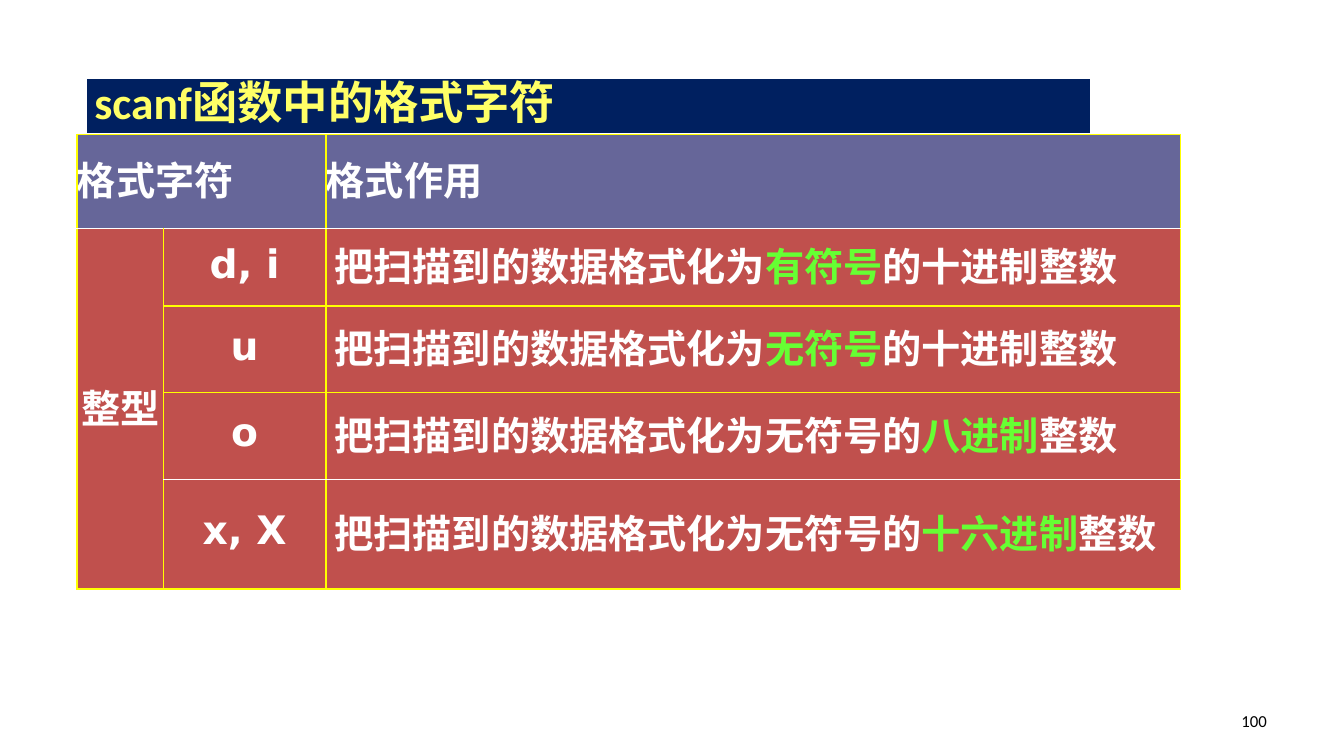
from lxml import etree
from pptx import Presentation
from pptx.dml.color import RGBColor
from pptx.enum.shapes import MSO_SHAPE
from pptx.enum.text import MSO_ANCHOR, PP_ALIGN
from pptx.oxml.ns import qn
from pptx.util import Cm, Pt

RECTANGLE = MSO_SHAPE.RECTANGLE
MIDDLE = MSO_ANCHOR.MIDDLE
LEFT, CENTER, RIGHT = PP_ALIGN.LEFT, PP_ALIGN.CENTER, PP_ALIGN.RIGHT

WHITE = RGBColor(0xFF, 0xFF, 0xFF)
BLACK = RGBColor(0x00, 0x00, 0x00)
NAVY = RGBColor(0x00, 0x20, 0x60)
TITLE_YELLOW = RGBColor(0xFF, 0xFF, 0x66)
GRID_YELLOW = RGBColor(0xFF, 0xFF, 0x00)
HEADER_VIOLET = RGBColor(0x66, 0x66, 0x99)
BODY_RED = RGBColor(0xC0, 0x50, 0x4D)
GREEN = RGBColor(0x66, 0xFF, 0x33)

LATIN, SYMBOL, CHINESE = "Calibri", "DejaVu Sans", "Noto Sans CJK SC"


def format_run(run, font_name, size, color, bold=True):
    run.font.name = font_name
    run.font.size = Pt(size)
    run.font.bold = bold
    run.font.color.rgb = color
    east_asian = etree.SubElement(run.font._element, qn("a:ea"))
    east_asian.set("typeface", CHINESE)


def add_border(cell, side, color, width):
    line = etree.SubElement(cell._tc.get_or_add_tcPr(), qn(f"a:{side}"), w=str(Pt(width)))
    fill = etree.SubElement(line, qn("a:solidFill"))
    etree.SubElement(fill, qn("a:srgbClr"), val=str(color))


prs = Presentation()
prs.slide_width, prs.slide_height = Cm(33.87), Cm(19.05)
slide = prs.slides.add_slide(prs.slide_layouts[6])

# Slide number
number_box = slide.shapes.add_textbox(Cm(24.28), Cm(17.65), Cm(7.9), Cm(1.02))
number_frame = number_box.text_frame
number_frame.word_wrap = True
number_frame.vertical_anchor = MIDDLE
number_frame.text = "100"
number_frame.paragraphs[0].alignment = RIGHT
format_run(number_frame.paragraphs[0].runs[0], LATIN, 12, BLACK, bold=False)

# Title bar
title_bar = slide.shapes.add_shape(RECTANGLE, Cm(2.13), Cm(1.93), Cm(25.4), Cm(1.47))
title_bar.shadow.inherit = False
title_bar.fill.solid()
title_bar.fill.fore_color.rgb = NAVY
title_bar.line.color.rgb = WHITE
title_bar.line.width = Pt(3)
title_frame = title_bar.text_frame
title_frame.word_wrap = True
title_frame.vertical_anchor = MIDDLE
title_frame.margin_top, title_frame.margin_bottom = 0, Cm(0.2)
title_frame.text = "scanf函数中的格式字符"
title_frame.paragraphs[0].alignment = LEFT
format_run(title_frame.paragraphs[0].runs[0], LATIN, 32.4, TITLE_YELLOW)

# Format characters: symbol, then the effect with its key words in the middle
FORMATS = [
    ("d, i", ("把扫描到的数据格式化为", "有符号", "的十进制整数")),
    ("u", ("把扫描到的数据格式化为", "无符号", "的十进制整数")),
    ("o", ("把扫描到的数据格式化为无符号的", "八进制", "整数")),
    ("x, X", ("把扫描到的数据格式化为无符号的", "十六进制", "整数")),
]
COLUMN_WIDTHS = [2.18, 4.09, 21.54]
ROW_HEIGHTS = [2.36, 1.96, 2.18, 2.18, 2.77]
PALE_LINES = (1, 4)  # row boundaries drawn thin and white

# Table grid
table = slide.shapes.add_table(
    len(ROW_HEIGHTS), len(COLUMN_WIDTHS), Cm(1.94), Cm(3.39),
    Cm(sum(COLUMN_WIDTHS)), Cm(sum(ROW_HEIGHTS))).table
for column, width in zip(table.columns, COLUMN_WIDTHS):
    column.width = Cm(width)
for row, height in zip(table.rows, ROW_HEIGHTS):
    row.height = Cm(height)
table.cell(0, 0).merge(table.cell(0, 1))
table.cell(1, 0).merge(table.cell(4, 0))

# Cell borders, fills and margins
for row_index, row in enumerate(table.rows):
    for cell in row.cells:
        cell.margin_left = cell.margin_right = cell.margin_top = 0
        cell.margin_bottom = Cm(0.13)
        cell.vertical_anchor = MIDDLE
        for side, boundary in (("lnL", None), ("lnR", None),
                               ("lnT", row_index), ("lnB", row_index + 1)):
            if boundary in PALE_LINES:
                add_border(cell, side, WHITE, 0.75)
            else:
                add_border(cell, side, GRID_YELLOW, 1.5)
        cell.fill.solid()
        cell.fill.fore_color.rgb = BODY_RED if row_index else HEADER_VIOLET

# Headings, type name and symbols
labels = [(0, 0, "格式字符", LEFT), (0, 2, "格式作用", LEFT), (1, 0, "整型", CENTER)]
labels += [(i, 1, symbol, CENTER) for i, (symbol, _) in enumerate(FORMATS, 1)]
for row_index, column_index, label, alignment in labels:
    paragraph = table.cell(row_index, column_index).text_frame.paragraphs[0]
    paragraph.text = label
    paragraph.alignment = alignment
    format_run(paragraph.runs[0], SYMBOL, 28, WHITE)

# Effects
for row_index, (_, effect) in enumerate(FORMATS, 1):
    effect_cell = table.cell(row_index, 2)
    effect_cell.margin_left = Cm(0.22)
    paragraph = effect_cell.text_frame.paragraphs[0]
    for part, color in zip(effect, (WHITE, GREEN, WHITE)):
        run = paragraph.add_run()
        run.text = part
        format_run(run, CHINESE, 28, color)

prs.save("out.pptx")
